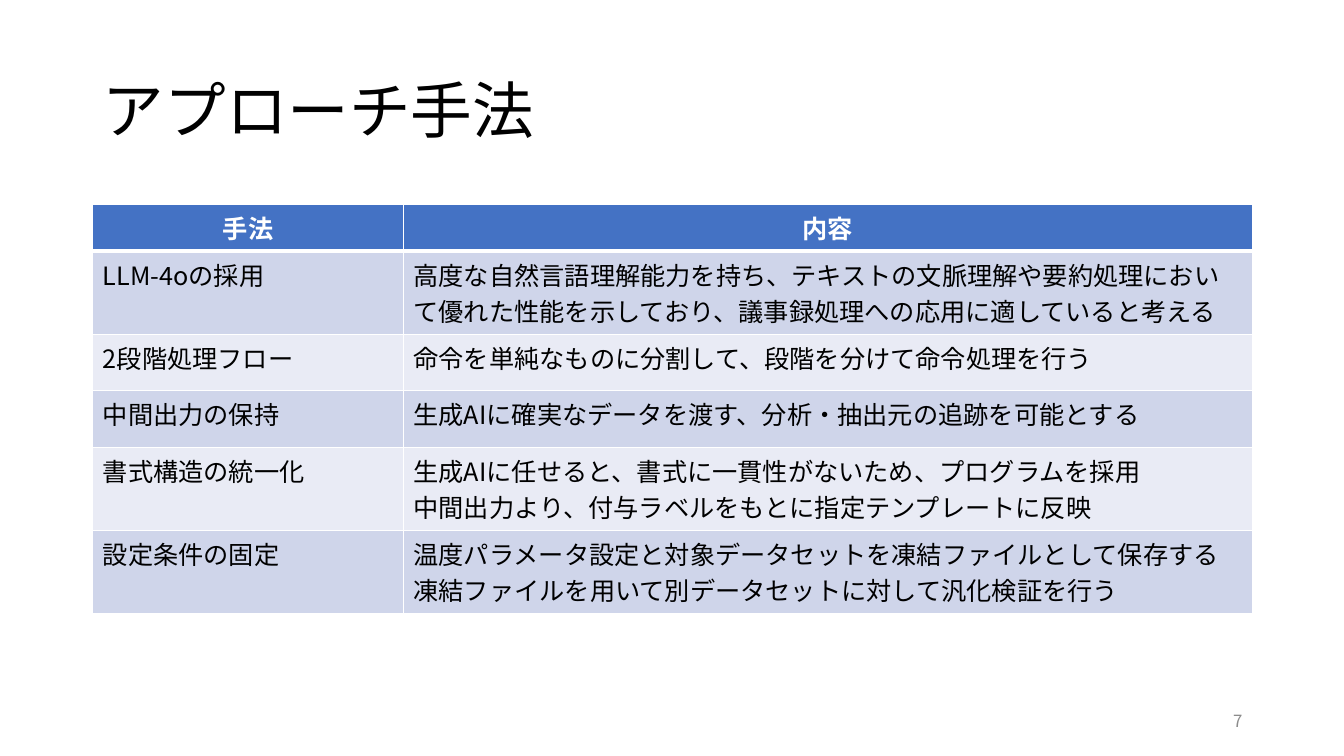
import dataclasses

import lxml.etree
import pptx
import pptx.dml.color
import pptx.enum.lang
import pptx.enum.text
import pptx.oxml.ns
import pptx.util


@dataclasses.dataclass(frozen=True)
class Theme:
    font: str = "Noto Sans CJK JP"
    ink: str = "000000"
    paper: str = "FFFFFF"
    header: str = "4472C4"
    bands: tuple = ("CFD5EA", "E9EBF5")
    muted: str = "8C8C8C"
    title_size: int = 44
    body_size: int = 18
    number_size: int = 12
    rule: int = 1
    header_rule: int = 3


THEME = Theme()
ALIGN = pptx.enum.text.PP_ALIGN
MIDDLE = pptx.enum.text.MSO_ANCHOR.MIDDLE
SLIDE_WIDTH, SLIDE_HEIGHT = 13.33, 7.5
MARGIN = 0.92
CONTENT_WIDTH = SLIDE_WIDTH - 2 * MARGIN + 0.01
METHOD_SHARE = 0.268
HEADER_HEIGHT, ROW_HEIGHT = 0.41, 0.56
NUMBER_WIDTH = 3

METHODS = [
    ("手法", "内容"),
    ("LLM-4oの採用",
     "高度な自然言語理解能力を持ち、テキストの文脈理解や要約処理において"
     "優れた性能を示しており、議事録処理への応用に適していると考える"),
    ("2段階処理フロー", "命令を単純なものに分割して、段階を分けて命令処理を行う"),
    ("中間出力の保持", "生成AIに確実なデータを渡す、分析・抽出元の追跡を可能とする"),
    ("書式構造の統一化",
     "生成AIに任せると、書式に一貫性がないため、プログラムを採用\n"
     "中間出力より、付与ラベルをもとに指定テンプレートに反映"),
    ("設定条件の固定",
     "温度パラメータ設定と対象データセットを凍結ファイルとして保存する\n"
     "凍結ファイルを用いて別データセットに対して汎化検証を行う"),
]


def rgb(value):
    return pptx.dml.color.RGBColor.from_string(value)


def inches(box):
    return [pptx.util.Inches(length) for length in box]


def write(frame, text, size, color, align=ALIGN.LEFT, bold=False):
    frame.text = text
    frame.word_wrap = True
    for paragraph in frame.paragraphs:
        paragraph.alignment = align
        for run in paragraph.runs:
            run.font.size = pptx.util.Pt(size)
            run.font.bold = bold
            run.font.color.rgb = rgb(color)
            run.font.name = THEME.font
            run.font.language_id = pptx.enum.lang.MSO_LANGUAGE_ID.JAPANESE
            latin = run.font._element.find(pptx.oxml.ns.qn("a:latin"))
            east_asian = lxml.etree.Element(pptx.oxml.ns.qn("a:ea"), typeface=THEME.font)
            latin.addnext(east_asian)


def rule_cell(cell, bottom_width):
    properties = cell._tc.get_or_add_tcPr()
    widths = {"lnL": THEME.rule, "lnR": THEME.rule, "lnT": THEME.rule, "lnB": bottom_width}
    for position, (side, width) in enumerate(widths.items()):
        line = lxml.etree.Element(pptx.oxml.ns.qn(f"a:{side}"), w=str(pptx.util.Pt(width)))
        fill = lxml.etree.SubElement(line, pptx.oxml.ns.qn("a:solidFill"))
        lxml.etree.SubElement(fill, pptx.oxml.ns.qn("a:srgbClr"), val=THEME.paper)
        properties.insert(position, line)


def place_title(slide, box, text):
    title = slide.shapes.title
    title.left, title.top, title.width, title.height = inches(box)
    frame = title.text_frame
    write(frame, text, THEME.title_size, THEME.ink)
    frame.auto_size = pptx.enum.text.MSO_AUTO_SIZE.NONE
    frame.vertical_anchor = MIDDLE
    frame.paragraphs[0].line_spacing = 0.9


def place_methods(slide, box, rows):
    table = slide.shapes.add_table(len(rows), len(rows[0]), *inches(box)).table
    for column, share in zip(table.columns, (METHOD_SHARE, 1 - METHOD_SHARE)):
        column.width = pptx.util.Inches(box[2] * share)
    for row_index, row in enumerate(rows):
        is_header = row_index == 0
        table.rows[row_index].height = pptx.util.Inches(HEADER_HEIGHT if is_header else ROW_HEIGHT)
        background = THEME.header if is_header else THEME.bands[(row_index - 1) % 2]
        for column_index, text in enumerate(row):
            cell = table.cell(row_index, column_index)
            write(cell.text_frame, text, THEME.body_size,
                  THEME.paper if is_header else THEME.ink,
                  ALIGN.CENTER if is_header else ALIGN.LEFT, is_header)
            cell.fill.solid()
            cell.fill.fore_color.rgb = rgb(background)
            rule_cell(cell, THEME.header_rule if is_header else THEME.rule)


def place_number(slide, box, number):
    frame = slide.shapes.add_textbox(*inches(box)).text_frame
    write(frame, number, THEME.number_size, THEME.muted, ALIGN.RIGHT)
    frame.vertical_anchor = MIDDLE


def main():
    deck = pptx.Presentation()
    deck.slide_width, deck.slide_height = inches((SLIDE_WIDTH, SLIDE_HEIGHT))
    slide = deck.slides.add_slide(deck.slide_layouts[5])
    table_height = HEADER_HEIGHT + ROW_HEIGHT * (len(METHODS) - 1)
    number_left = MARGIN + CONTENT_WIDTH - NUMBER_WIDTH
    place_title(slide, (MARGIN, 0.4, CONTENT_WIDTH, 1.45), "アプローチ手法")
    place_methods(slide, (MARGIN, 2.03, CONTENT_WIDTH, table_height), METHODS)
    place_number(slide, (number_left, 6.95, NUMBER_WIDTH, 0.4), "7")
    deck.save("out.pptx")


if __name__ == "__main__":
    main()
